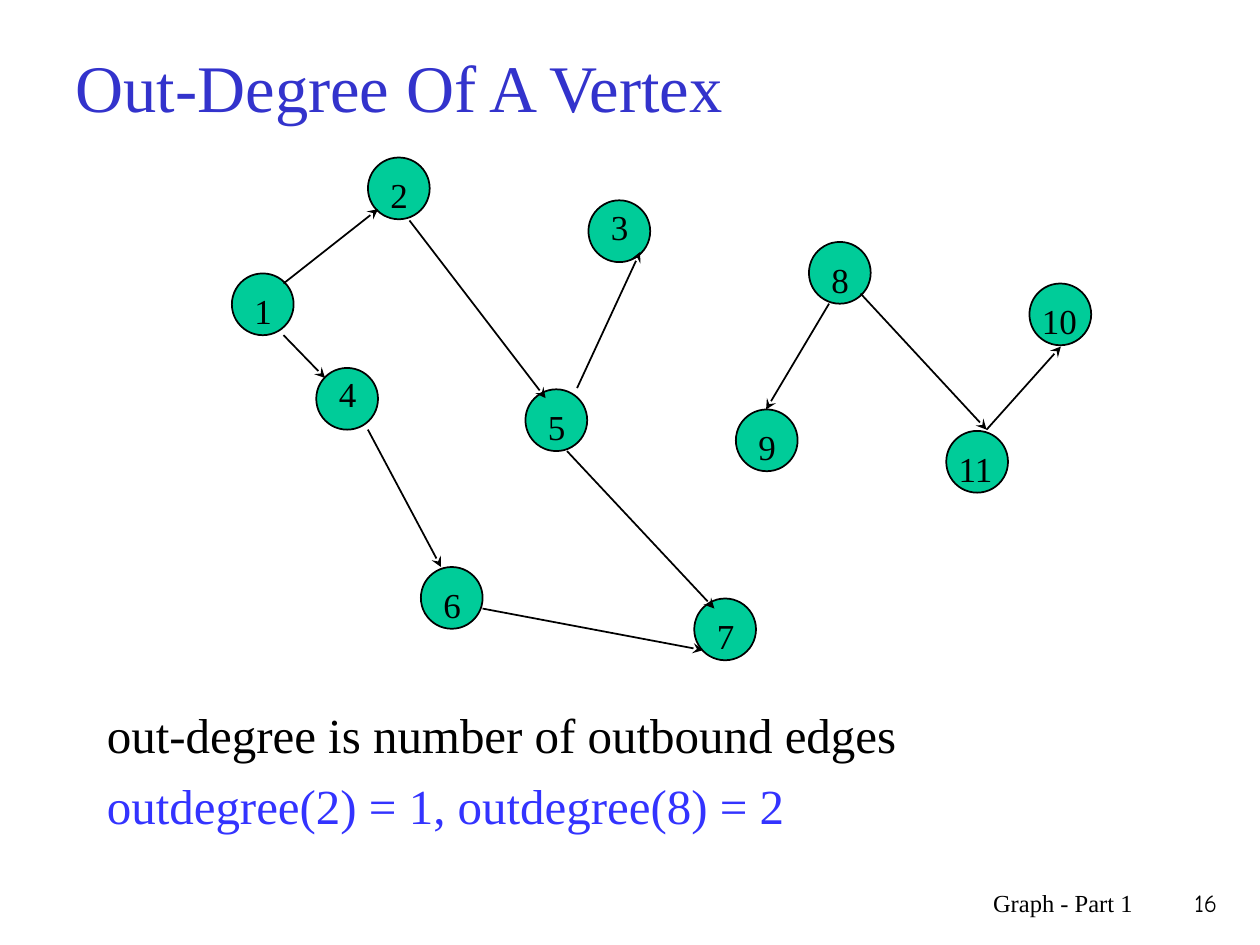
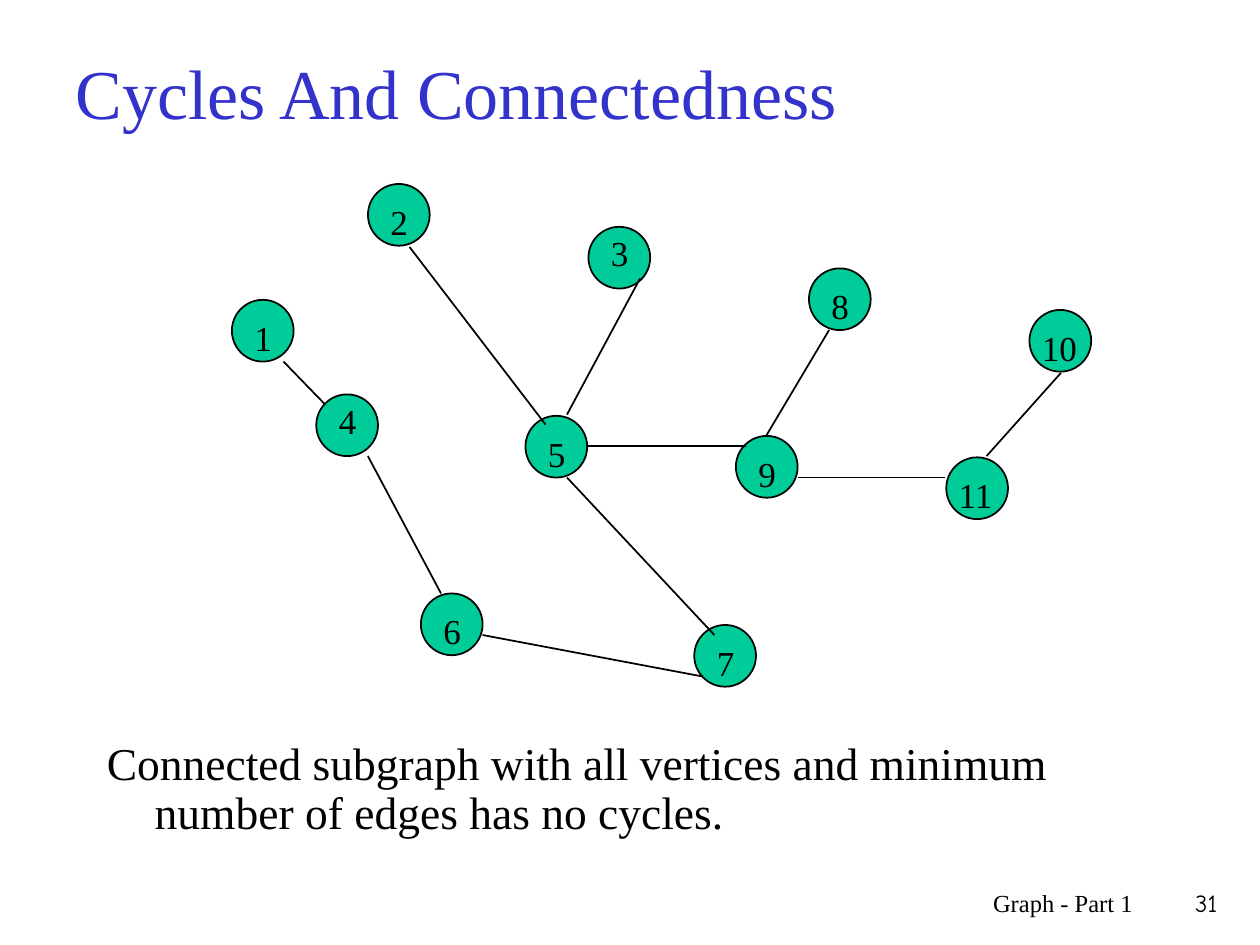
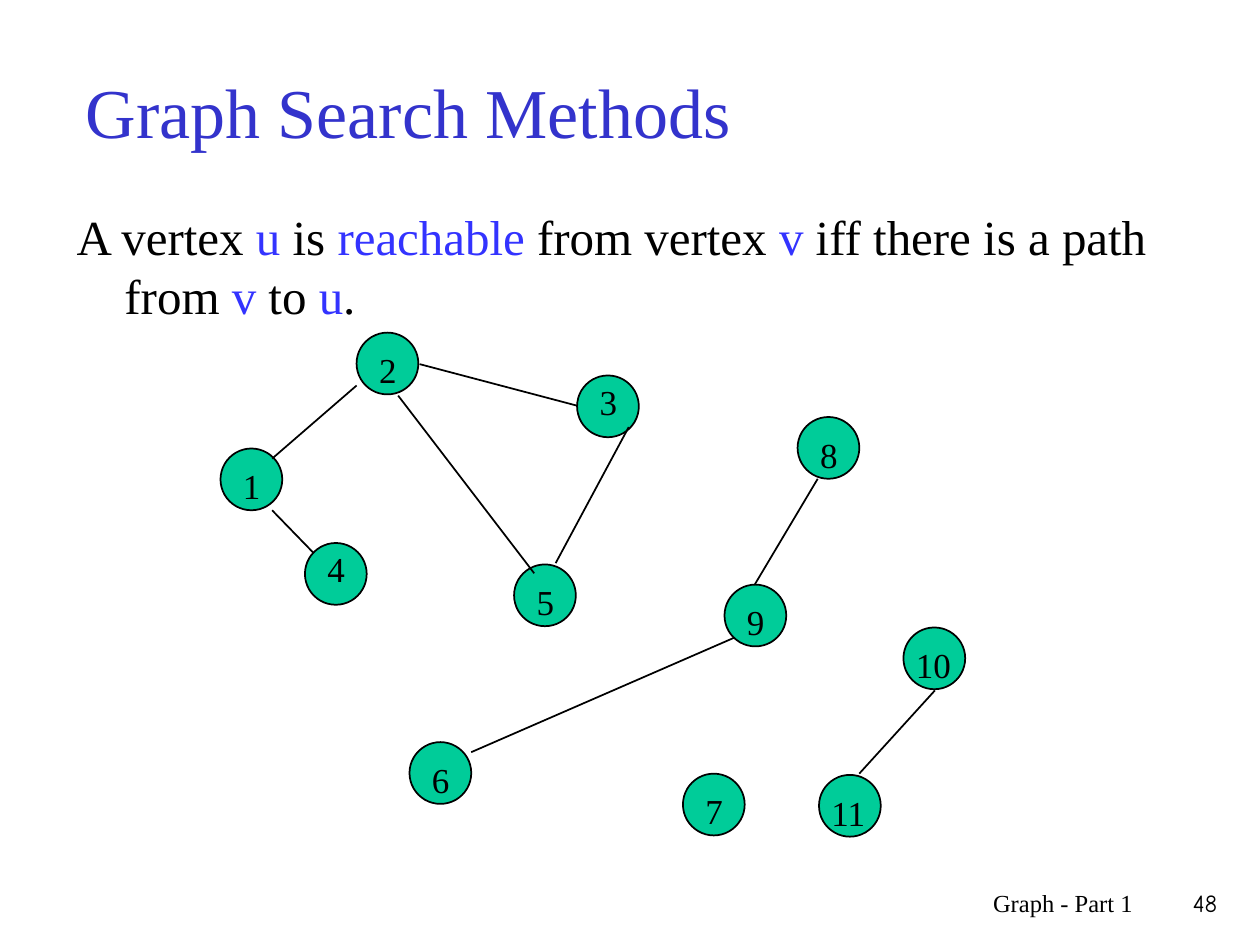
from dataclasses import dataclass
from itertools import cycle

from lxml import etree
from pptx import Presentation
from pptx.dml.color import RGBColor
from pptx.enum.shapes import MSO_CONNECTOR, MSO_SHAPE
from pptx.enum.text import MSO_ANCHOR, MSO_AUTO_SIZE, PP_ALIGN
from pptx.oxml.ns import qn
from pptx.util import Pt

OVAL = MSO_SHAPE.OVAL
STRAIGHT = MSO_CONNECTOR.STRAIGHT
MIDDLE = MSO_ANCHOR.MIDDLE
NO_FIT = MSO_AUTO_SIZE.NONE
GROW = MSO_AUTO_SIZE.SHAPE_TO_FIT_TEXT
LEFT, RIGHT = PP_ALIGN.LEFT, PP_ALIGN.RIGHT

EMU_PER_PX = 9144
SLIDE_SIZE = (1000, 750)
TITLE_ONLY = 5
VERTEX_SIZE = 49
HANGING_INDENT = 38


@dataclass(frozen=True)
class Theme:
    ink: str = "000000"
    title: str = "3333CC"
    accent: str = "3333FF"
    vertex: str = "00CC99"
    font: str = "Times New Roman"
    number_font: str = "Comic Neue"
    title_size: int = 40
    body_size: int = 28
    label_size: int = 20
    footer_size: int = 14
    line_width: int = 1


VERTICES = {
    1: (184, 217), 2: (292, 125), 3: (467, 159), 4: (251, 292),
    5: (417, 309), 6: (334, 450), 7: (551, 475), 8: (642, 192),
    9: (584, 325), 10: (817, 225), 11: (751, 342),
}
RAISED_LABELS = (3, 4)

EDGE_ENDS = {
    (1, 2): ((41, 8), (8, 41)),
    (1, 4): ((41, 49), (7, 8)),
    (2, 3): ((50, 25), (0, 24)),
    (2, 5): ((33, 50), (16, 7)),
    (4, 6): ((41, 49), (16, 0)),
    (5, 3): ((33, -1), (41, 41)),
    (5, 7): ((33, 49), (16, 8)),
    (5, 9): ((50, 24), (8, 8)),
    (6, 7): ((49, 33), (7, 41)),
    (8, 9): ((16, 49), (24, 0)),
    (8, 11): ((41, 41), (32, -1)),
    (9, 6): ((8, 42), (49, 8)),
    (9, 11): ((49, 33), (-1, 16)),
    (11, 10): ((32, -1), (25, 50)),
}


def px(*lengths):
    return [length * EMU_PER_PX for length in lengths]


def write(paragraph, text, *, size, font, color, align=LEFT):
    paragraph.alignment = align
    run = paragraph.add_run()
    run.text = text
    run.font.size = Pt(size)
    run.font.name = font
    run.font.color.rgb = RGBColor.from_string(color)


class Deck:
    def __init__(self, theme):
        self.theme = theme
        self.presentation = Presentation()
        width, height = px(*SLIDE_SIZE)
        self.presentation.slide_width = width
        self.presentation.slide_height = height
        self.slide = None

    def start_slide(self, title, number, box, size):
        layout = self.presentation.slide_layouts[TITLE_ONLY]
        self.slide = self.presentation.slides.add_slide(layout)
        shape = self.slide.shapes.title
        shape.left, shape.top, shape.width, shape.height = px(*box)
        frame = shape.text_frame
        frame.auto_size = NO_FIT
        frame.vertical_anchor = MIDDLE
        write(frame.paragraphs[0], title, size=size, font=self.theme.font,
              color=self.theme.title)
        self.footer("Graph - Part 1", (592, 700, 317, 50), self.theme.font)
        self.footer(str(number), (908, 700, 68, 50), self.theme.number_font)

    def text_box(self, box, auto_size=NO_FIT):
        frame = self.slide.shapes.add_textbox(*px(*box)).text_frame
        frame.word_wrap = True
        frame.auto_size = auto_size
        return frame

    def footer(self, text, box, font):
        write(self.text_box(box).paragraphs[0], text, font=font,
              size=self.theme.footer_size, color=self.theme.ink, align=RIGHT)

    def body(self, box, paragraphs, size=None, line_spacing=None):
        frame = self.text_box(box)
        frame.margin_top = px(9)[0]
        indent = px(HANGING_INDENT)[0]
        for index, segments in enumerate(paragraphs):
            paragraph = frame.add_paragraph() if index else frame.paragraphs[0]
            properties = paragraph._p.get_or_add_pPr()
            properties.set("marL", str(indent))
            properties.set("indent", str(-indent))
            if index:
                paragraph.space_before = Pt(7)
            if line_spacing:
                paragraph.line_spacing = line_spacing
            for text, color in segments:
                write(paragraph, text, size=size or self.theme.body_size,
                      font=self.theme.font, color=color)

    def vertex(self, left, top):
        shape = self.slide.shapes.add_shape(
            OVAL, *px(left, top, VERTEX_SIZE, VERTEX_SIZE))
        shape.shadow.inherit = False
        shape.fill.solid()
        shape.fill.fore_color.rgb = RGBColor.from_string(self.theme.vertex)
        shape.line.color.rgb = RGBColor.from_string(self.theme.ink)
        shape.line.width = Pt(self.theme.line_width)

    def label(self, name, left, top):
        wide = name > 9
        box = (left if wide else left + 8,
               top - 1 if name in RAISED_LABELS else top + 8,
               50 if wide else 25, 43)
        write(self.text_box(box, GROW).paragraphs[0], str(name),
              size=self.theme.label_size, font=self.theme.font,
              color=self.theme.ink)

    def edge(self, start, end, directed):
        connector = self.slide.shapes.add_connector(
            STRAIGHT, *px(*start, *end))
        connector.line.color.rgb = RGBColor.from_string(self.theme.ink)
        connector.line.width = Pt(self.theme.line_width)
        if directed:
            line = connector.line._get_or_add_ln()
            etree.SubElement(line, qn("a:tailEnd"), type="stealth")
        etree.SubElement(connector._element.spPr, qn("a:effectLst"))

    def graph(self, edges, shift=(0, 0), moved=None, ends=None,
              directed=False):
        places = {name: (left + shift[0], top + shift[1])
                  for name, (left, top) in VERTICES.items()}
        places.update(moved or {})
        edge_ends = EDGE_ENDS | (ends or {})
        for place in places.values():
            self.vertex(*place)
        for edge in edges:
            start, end = (
                (places[name][0] + across, places[name][1] + down)
                for name, (across, down) in zip(edge, edge_ends[edge]))
            self.edge(start, end, directed)
        for name, place in places.items():
            self.label(name, *place)


def out_degree_slide(deck):
    theme = deck.theme
    deck.start_slide("Out-Degree Of A Vertex", 16, (50, 30, 900, 77), 38)
    deck.body((75, 550, 850, 117), [
        [("out-degree is number of outbound edges", theme.ink)],
        [("outdegree(2) = 1, outdegree(8) = 2", theme.accent)],
    ])
    deck.graph([(1, 2), (2, 5), (1, 4), (4, 6), (6, 7), (5, 3), (5, 7),
                (8, 9), (8, 11), (11, 10)],
               ends={(5, 3): ((41, -1), (41, 41))}, directed=True)


def connectedness_slide(deck):
    theme = deck.theme
    deck.start_slide("Cycles And Connectedness", 31, (50, 30, 900, 85),
                     theme.title_size)
    deck.graph([(2, 5), (1, 4), (4, 6), (6, 7), (5, 3), (5, 7), (8, 9),
                (11, 10), (5, 9), (9, 11)], shift=(0, 21))
    deck.body((75, 579, 850, 83), [
        [("Connected subgraph with all vertices and minimum number of edges "
          "has no cycles.", theme.ink)],
    ], size=26, line_spacing=0.9)


def search_slide(deck):
    theme = deck.theme
    deck.start_slide("Graph Search Methods", 48, (58, 25, 850, 125),
                     theme.title_size)
    segments = ("A vertex ", "u", " is ", "reachable", " from vertex ", "v",
                " iff there is a path from ", "v", " to ", "u", ".")
    deck.body((51, 155, 940, 137),
              [zip(segments, cycle((theme.ink, theme.accent)))])
    deck.graph([(1, 2), (2, 5), (1, 4), (5, 3), (8, 9), (11, 10), (2, 3),
                (9, 6)], shift=(-9, 139),
               moved={10: (717, 498), 11: (650, 615)},
               ends={(1, 2): ((41, 8), (0, 42))})


def main():
    deck = Deck(Theme())
    out_degree_slide(deck)
    connectedness_slide(deck)
    search_slide(deck)
    deck.presentation.save("out.pptx")


if __name__ == "__main__":
    main()
